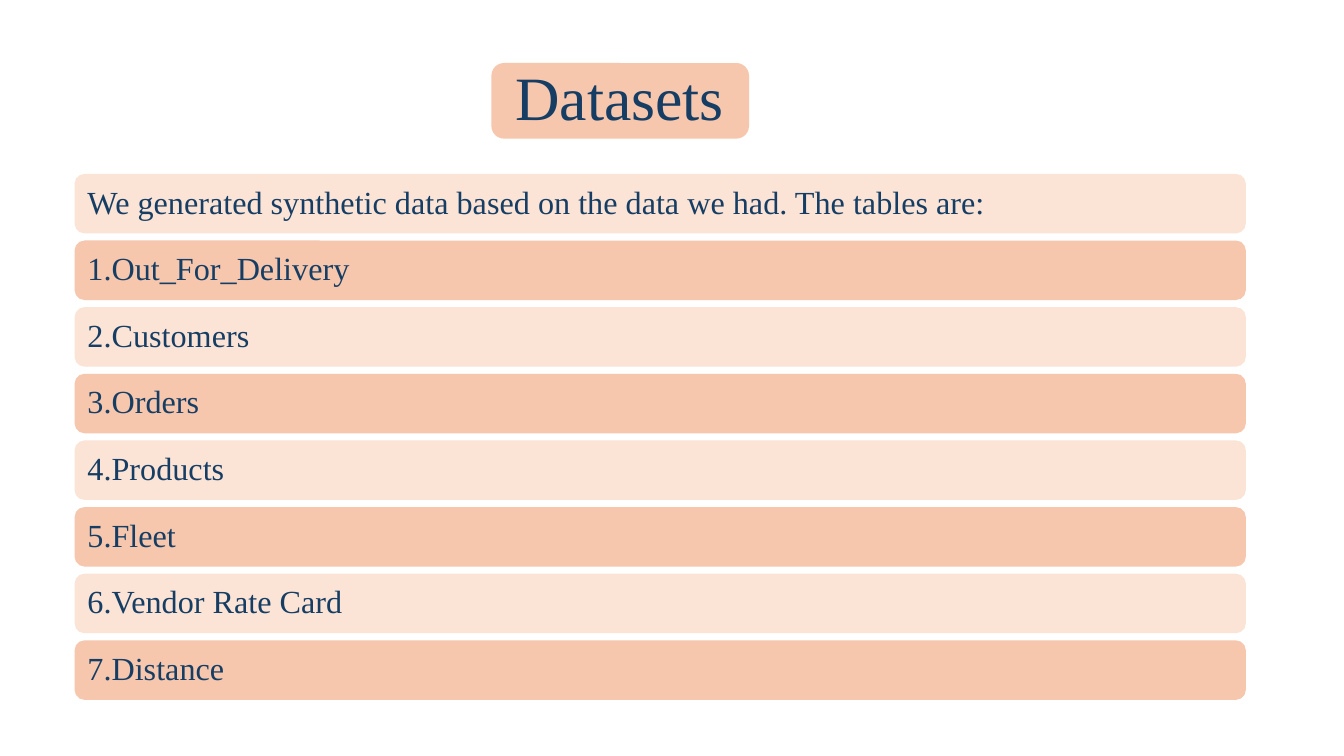
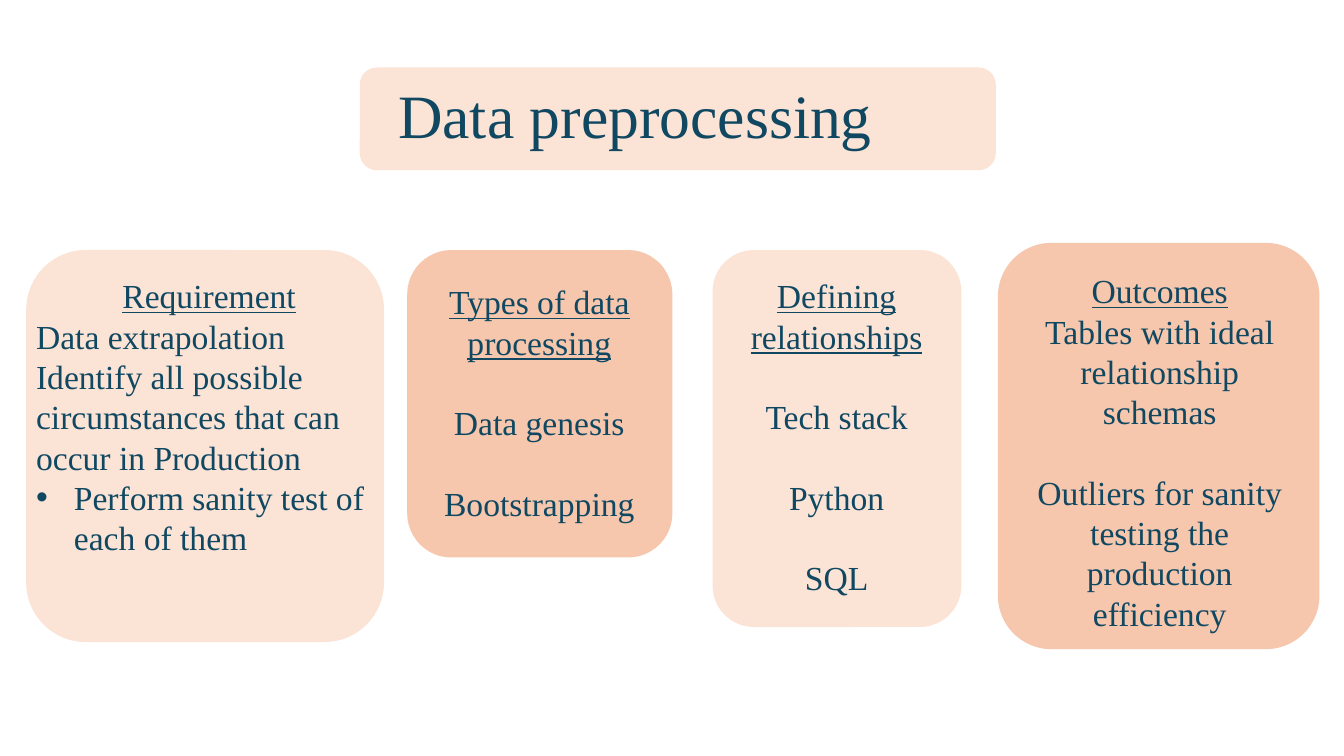
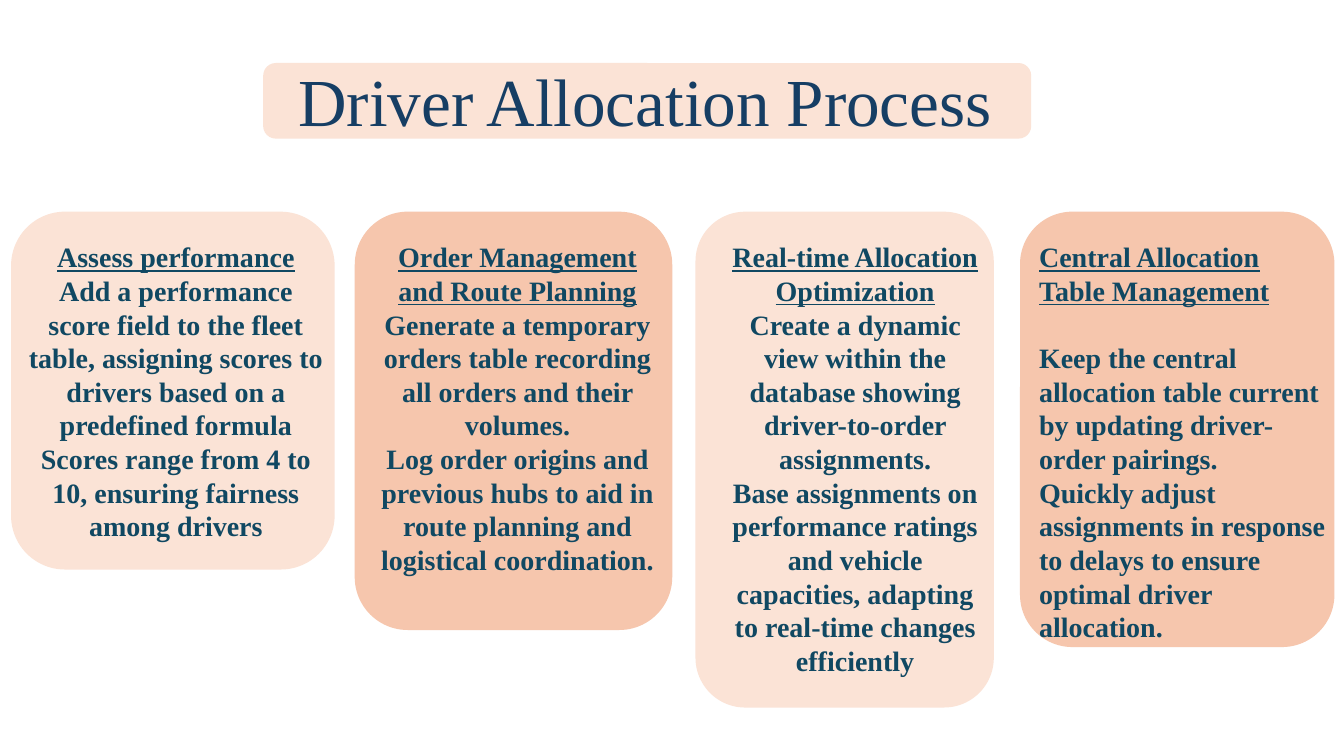
from dataclasses import dataclass

from lxml.etree import SubElement
from pptx import Presentation
from pptx.dml.color import RGBColor
from pptx.enum.shapes import MSO_SHAPE
from pptx.enum.text import MSO_ANCHOR, MSO_AUTO_SIZE, PP_ALIGN
from pptx.oxml.ns import qn
from pptx.presentation import Presentation as Deck
from pptx.shapes.autoshape import Shape
from pptx.slide import Slide
from pptx.util import Pt

COLORS = {"light": "FBE3D6", "peach": "F6C6AD", "navy": "163E64", "teal": "104862"}
STRIPES = ("light", "peach")
FONT = "Times New Roman"
LINE_FACTOR = 1.2
BULLET_INDENT = 27
CENTER, LEFT = PP_ALIGN.CENTER, PP_ALIGN.LEFT


@dataclass(frozen=True)
class Box:
    left: float
    top: float
    width: float
    height: float

    def lengths(self) -> tuple[Pt, Pt, Pt, Pt]:
        return Pt(self.left), Pt(self.top), Pt(self.width), Pt(self.height)


@dataclass(frozen=True)
class Title:
    text: str
    box: Box
    plate: Box
    fill: str
    color: str = "navy"
    size: int = 44
    align: PP_ALIGN = CENTER


@dataclass(frozen=True)
class Line:
    text: str
    align: PP_ALIGN = CENTER
    heading: bool = False
    gap: bool = False  # one empty line above
    bullet: bool = False


@dataclass(frozen=True)
class Card:
    panel: Box
    text_left: float
    text_top: float
    text_width: float
    lines: tuple[Line, ...]


def style_paragraph(paragraph, size: int, color: str, align: PP_ALIGN) -> None:
    paragraph.alignment = align
    paragraph.font.name = FONT
    paragraph.font.size = Pt(size)
    paragraph.font.color.rgb = RGBColor.from_string(COLORS[color])


def add_panel(slide: Slide, box: Box, fill: str) -> Shape:
    panel = slide.shapes.add_shape(MSO_SHAPE.ROUNDED_RECTANGLE, *box.lengths())
    panel.shadow.inherit = False
    panel.fill.solid()
    panel.fill.fore_color.rgb = RGBColor.from_string(COLORS[fill])
    panel.line.fill.background()
    return panel


def add_titled_slide(presentation: Deck, title: Title) -> Slide:
    slide = presentation.slides.add_slide(presentation.slide_layouts[5])
    placeholder = slide.shapes.title
    placeholder.left, placeholder.top, placeholder.width, placeholder.height = title.box.lengths()
    frame = placeholder.text_frame
    frame.text = title.text
    frame.auto_size = MSO_AUTO_SIZE.NONE
    frame.vertical_anchor = MSO_ANCHOR.MIDDLE
    paragraph = frame.paragraphs[0]
    paragraph.line_spacing = 0.9
    style_paragraph(paragraph, title.size, title.color, title.align)
    # The plate lies behind the title
    plate = add_panel(slide, title.plate, title.fill)
    placeholder.element.addprevious(plate.element)
    return slide


def add_rows(slide: Slide, first: Box, pitch: float, texts: tuple[str, ...]) -> None:
    for index, text in enumerate(texts):
        box = Box(first.left, first.top + index * pitch, first.width, first.height)
        row = add_panel(slide, box, STRIPES[index % 2])
        frame = row.text_frame
        frame.word_wrap = True
        frame.vertical_anchor = MSO_ANCHOR.MIDDLE
        frame.text = text
        paragraph = frame.paragraphs[0]
        paragraph.line_spacing = 0.9
        style_paragraph(paragraph, 23, "navy", LEFT)


def add_bullet(paragraph) -> None:
    properties = paragraph._p.get_or_add_pPr()
    properties.set("marL", str(Pt(BULLET_INDENT)))
    properties.set("indent", str(-Pt(BULLET_INDENT)))
    SubElement(properties, qn("a:buFont")).set("typeface", "Arial")
    SubElement(properties, qn("a:buChar")).set("char", "•")


def add_cards(slide: Slide, cards: tuple[Card, ...], size: int, bold: bool) -> None:
    for index, card in enumerate(cards):
        add_panel(slide, card.panel, STRIPES[index % 2])
        text_height = card.panel.top + card.panel.height - card.text_top
        box = Box(card.text_left, card.text_top, card.text_width, text_height)
        frame = slide.shapes.add_textbox(*box.lengths()).text_frame
        frame.word_wrap = True
        for number, line in enumerate(card.lines):
            paragraph = frame.add_paragraph() if number else frame.paragraphs[0]
            paragraph.text = line.text
            paragraph.line_spacing = Pt(size * LINE_FACTOR)
            if line.gap:
                paragraph.space_before = Pt(size * LINE_FACTOR)
            if line.bullet:
                add_bullet(paragraph)
            style_paragraph(paragraph, size, "teal", line.align)
            paragraph.font.bold = bold
            paragraph.font.underline = line.heading


TABLE_ROWS = (
    "We generated synthetic data based on the data we had. The tables are:",
    "1.Out_For_Delivery",
    "2.Customers",
    "3.Orders",
    "4.Products",
    "5.Fleet",
    "6.Vendor Rate Card",
    "7.Distance",
)

PREPROCESSING_CARDS = (
    Card(Box(18.7, 178.6, 255.6, 280), 18.7, 193, 261.4, (
        Line("Requirement", heading=True),
        Line("Data extrapolation", LEFT),
        Line("Identify all possible circumstances that can occur in Production", LEFT),
        Line("Perform sanity test of each of them", LEFT, bullet=True),
    )),
    Card(Box(290.9, 178.6, 189.4, 219.6), 303.1, 197.3, 164.2, (
        Line("Types of data processing", heading=True),
        Line("Data genesis", gap=True),
        Line("Bootstrapping", gap=True),
    )),
    Card(Box(509, 178.6, 177.8, 269.3), 517.7, 193, 159.8, (
        Line("Defining relationships", heading=True),
        Line("Tech stack", gap=True),
        Line("Python", gap=True),
        Line("SQL", gap=True),
    )),
    Card(Box(712.8, 173.5, 229.7, 290.2), 722.9, 189.4, 211, (
        Line("Outcomes", heading=True),
        Line("Tables with ideal relationship schemas"),
        Line("Outliers for sanity testing the production efficiency", gap=True),
    )),
)

CARD_TOP, CARD_TEXT_TOP = 151.2, 167.8
ALLOCATION_CARDS = (
    Card(Box(7.9, CARD_TOP, 231.1, 255.6), 10.8, CARD_TEXT_TOP, 229.7, (
        Line("Assess performance", heading=True),
        Line("Add a performance score field to the fleet table, assigning scores "
             "to drivers based on a predefined formula"),
        Line("Scores range from 4 to 10, ensuring fairness among drivers"),
    )),
    Card(Box(253.4, CARD_TOP, 226.8, 298.8), 259.2, CARD_TEXT_TOP, 221, (
        Line("Order Management and Route Planning", heading=True),
        Line("Generate a temporary orders table recording all orders and their volumes."),
        Line("Log order origins and previous hubs to aid in route planning "
             "and logistical coordination."),
    )),
    Card(Box(496.8, CARD_TOP, 213.1, 354.2), 511.2, CARD_TEXT_TOP, 199.4, (
        Line("Real-time Allocation Optimization", heading=True),
        Line("Create a dynamic view within the database showing "
             "driver-to-order assignments."),
        Line("Base assignments on performance ratings and vehicle capacities, "
             "adapting to real-time changes efficiently"),
    )),
    Card(Box(728.6, CARD_TOP, 224.6, 311), 735.1, CARD_TEXT_TOP, 220.3, (
        Line("Central Allocation Table Management", LEFT, heading=True),
        Line("Keep the central allocation table current by updating "
             "driver-order pairings.", LEFT, gap=True),
        Line("Quickly adjust assignments in response to delays to ensure "
             "optimal driver allocation.", LEFT),
    )),
)


def main() -> None:
    presentation = Presentation()
    presentation.slide_width, presentation.slide_height = Pt(960), Pt(540)

    # Datasets
    slide = add_titled_slide(presentation, Title(
        "Datasets", Box(28.8, 19.4, 828, 104.4), Box(351, 45, 184, 54), "peach"))
    add_rows(slide, Box(53.3, 124.2, 836.6, 42.5), 47.6, TABLE_ROWS)

    # Data preprocessing
    slide = add_titled_slide(presentation, Title(
        "Data preprocessing", Box(277.2, 32.4, 640, 104.4),
        Box(257, 48.2, 454.3, 73.4), "light", color="teal", align=LEFT))
    add_cards(slide, PREPROCESSING_CARDS, size=24, bold=False)

    # Driver allocation
    slide = add_titled_slide(presentation, Title(
        "Driver Allocation Process", Box(47, 22.3, 828, 104.4),
        Box(188, 45, 548.6, 54), "light", size=48))
    add_cards(slide, ALLOCATION_CARDS, size=20, bold=True)

    presentation.save("out.pptx")


if __name__ == "__main__":
    main()
